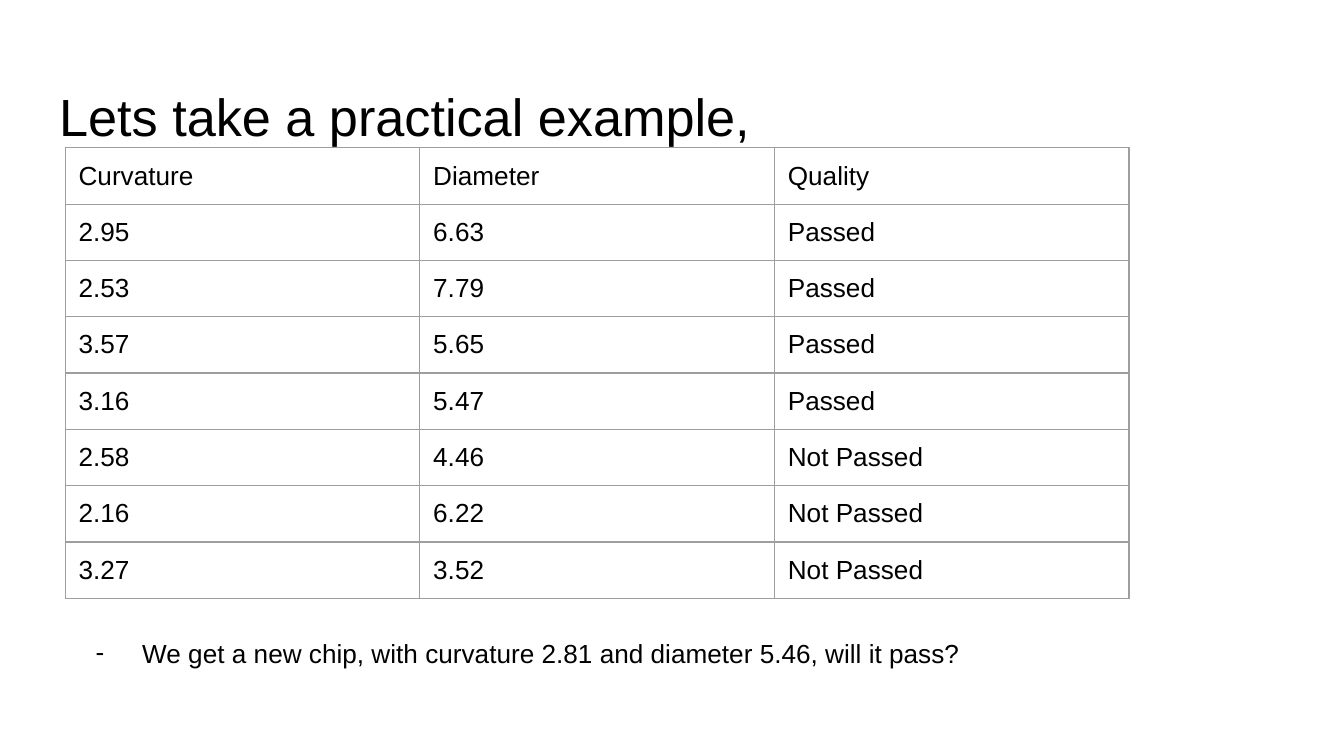
from lxml.etree import SubElement
from pptx import Presentation
from pptx.dml.color import RGBColor
from pptx.enum.text import MSO_ANCHOR, PP_ALIGN
from pptx.oxml.ns import qn
from pptx.util import Pt

BLACK, GREY, WHITE = "000000", "9E9E9E", "FFFFFF"
INSET = 7.2
MEASUREMENTS = [
    ("Curvature", "Diameter", "Quality"),
    ("2.95", "6.63", "Passed"),
    ("2.53", "7.79", "Passed"),
    ("3.57", "5.65", "Passed"),
    ("3.16", "5.47", "Passed"),
    ("2.58", "4.46", "Not Passed"),
    ("2.16", "6.22", "Not Passed"),
    ("3.27", "3.52", "Not Passed"),
]


def paint(color_format, color):
    """Apply a hex colour to a font, fill or line colour."""
    color_format.rgb = RGBColor.from_string(color)


def write(frame, text, size=14, color=BLACK, font="Arial"):
    """Put one formatted paragraph in a text frame and return it."""
    paragraph = frame.paragraphs[0]
    paragraph.alignment = PP_ALIGN.LEFT
    run = paragraph.add_run()
    run.text = text
    run.font.size = Pt(size)
    run.font.name = font
    paint(run.font.color, color)
    return paragraph


def set_insets(holder, top=INSET):
    """Set the inner margins of a text frame or table cell."""
    holder.margin_left = holder.margin_right = holder.margin_bottom = Pt(INSET)
    holder.margin_top = Pt(top)


def add_borders(cell, color, width):
    """Draw a solid line on each side of a cell."""
    properties = cell._tc.get_or_add_tcPr()
    for position, side in enumerate(("lnL", "lnR", "lnT", "lnB")):
        line = SubElement(properties, qn(f"a:{side}"), w=str(Pt(width)))
        fill = SubElement(line, qn("a:solidFill"))
        SubElement(fill, qn("a:srgbClr"), val=color)
        properties.insert(position, line)


def place_title(slide, left, top, width, height):
    """Move and fill the title placeholder."""
    title = slide.shapes.title
    title.left, title.top = Pt(left), Pt(top)
    title.width, title.height = Pt(width), Pt(height)
    frame = title.text_frame
    frame.word_wrap = True
    frame.vertical_anchor = MSO_ANCHOR.TOP
    set_insets(frame, top=10)
    write(frame, "Lets take a practical example,", size=28)


def place_measurements(slide, left, top, width, height):
    """Add the table of chips, with equal rows and columns."""
    row_count, column_count = len(MEASUREMENTS), len(MEASUREMENTS[0])
    table = slide.shapes.add_table(row_count, column_count, Pt(left), Pt(top),
                                   Pt(width), Pt(height)).table
    table.first_row = table.horz_banding = False
    for row, values in zip(table.rows, MEASUREMENTS):
        for cell, value in zip(row.cells, values):
            cell.fill.solid()
            paint(cell.fill.fore_color, WHITE)
            set_insets(cell)
            write(cell.text_frame, value)
            add_borders(cell, GREY, 0.75)


def place_question(slide, left, top, width, height):
    """Add the closing question as a dashed list item."""
    frame = slide.shapes.add_textbox(Pt(left), Pt(top), Pt(width), Pt(height)).text_frame
    frame.word_wrap = True
    set_insets(frame)
    question = write(frame, "We get a new chip, with curvature 2.81 and diameter 5.46, will it pass?")
    properties = question._p.get_or_add_pPr()
    properties.set("marL", str(Pt(36)))
    properties.set("indent", str(Pt(-25)))
    bullet_color = SubElement(properties, qn("a:buClr"))
    SubElement(bullet_color, qn("a:srgbClr"), val=BLACK)
    SubElement(properties, qn("a:buFont"), typeface="Arial")
    SubElement(properties, qn("a:buChar"), char="-")


def build():
    """Build the slide and save it."""
    deck = Presentation()
    deck.slide_width, deck.slide_height = Pt(720), Pt(405)
    slide = deck.slides.add_slide(deck.slide_layouts[5])
    place_title(slide, 24.5, 35.3, 671, 45.4)
    place_measurements(slide, 34.9, 79.2, 570, 240.8)
    place_question(slide, 33.1, 334.1, 523.4, 64.8)
    deck.save("out.pptx")


build()
